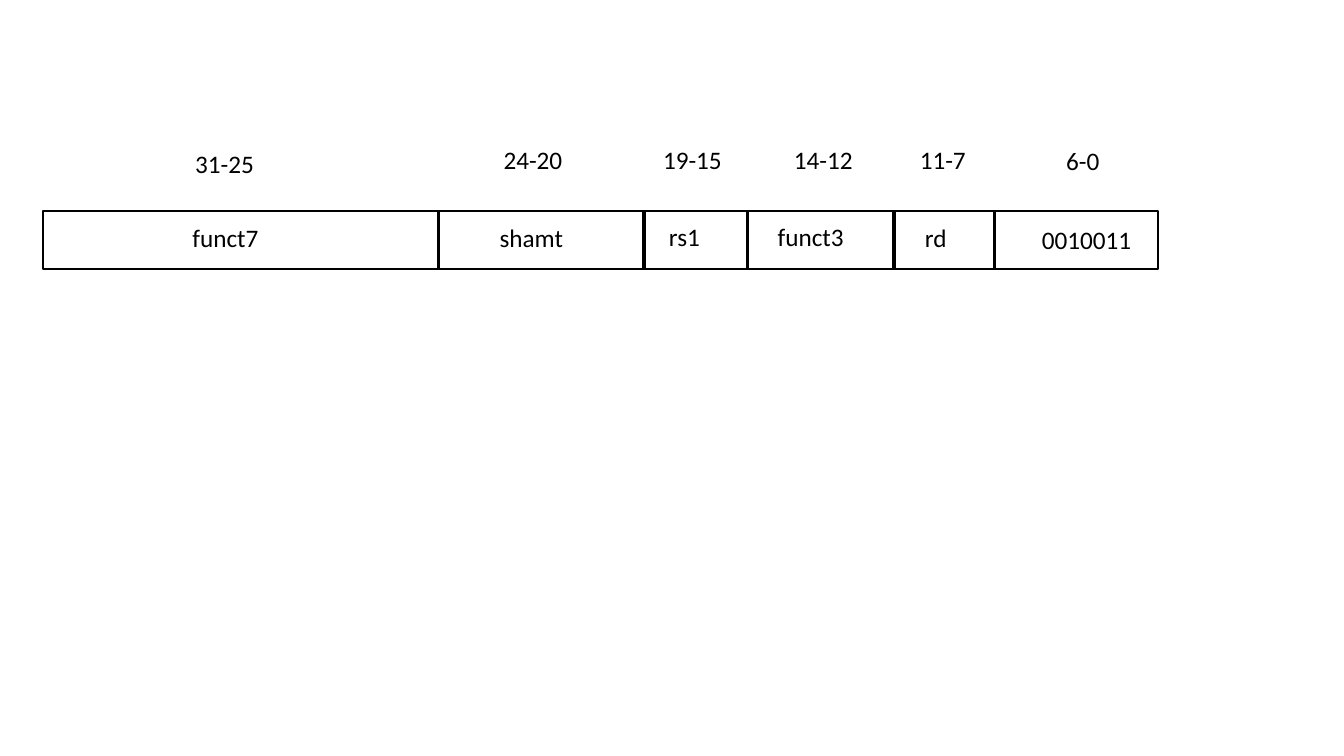
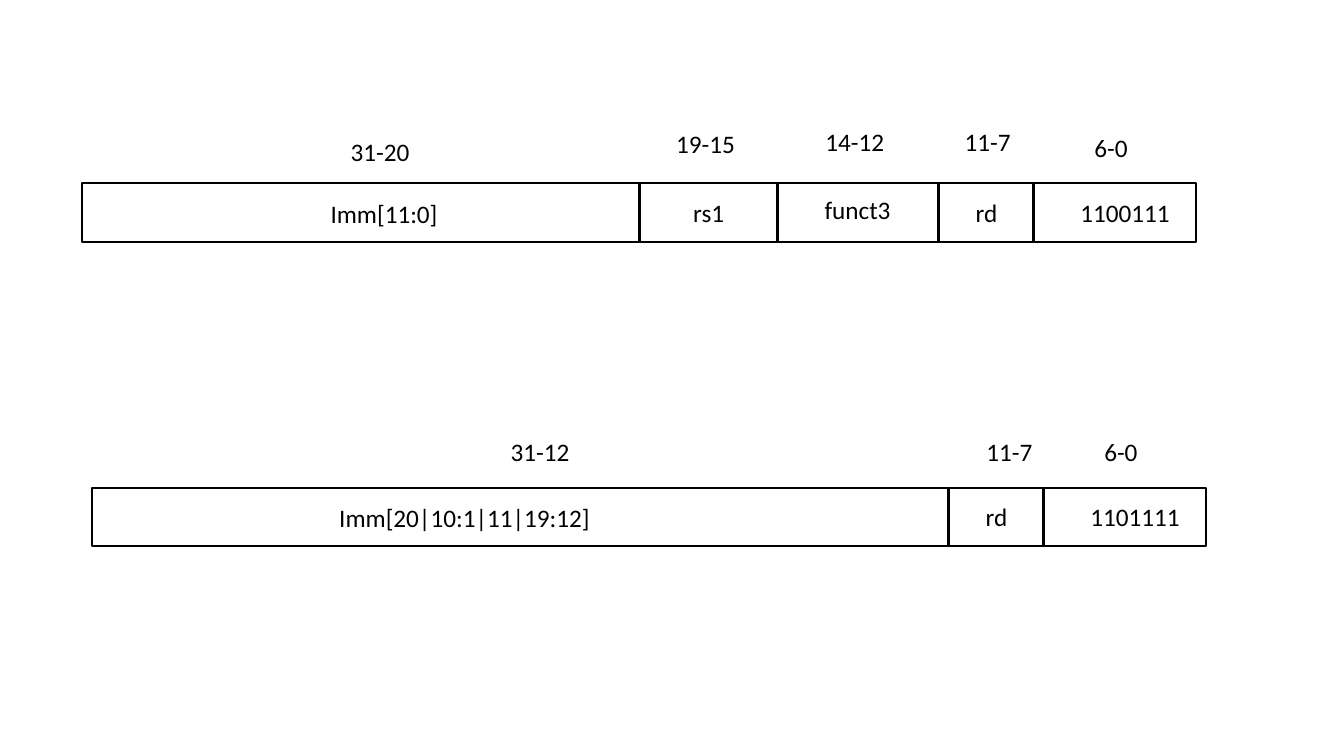
from dataclasses import dataclass

from lxml.etree import SubElement
from pptx import Presentation
from pptx.dml.color import RGBColor
from pptx.enum.shapes import MSO_CONNECTOR as Connector, MSO_SHAPE as Shape
from pptx.oxml.ns import qn
from pptx.util import Cm, Pt

# Shared style
COLORS = {"ink": "000000", "paper": "FFFFFF"}
FONT, TEXT_SIZE = "Calibri", Pt(18)
BAR_WIDTH, BAR_HEIGHT = 28.09, 1.47
TEXT_HEIGHT, BITS_WIDTH = 1.02, 2.8


@dataclass
class Field:
    """One instruction field; lengths in cm from the bar's top left corner."""
    edge: float
    name: str
    name_x: float
    name_y: float
    name_width: float
    bits: str
    bits_x: float
    bits_y: float


@dataclass
class Instruction:
    left: float
    top: float
    fields: list


# Content
SHIFT = Instruction(1.09, 5.31, [
    Field(0, "funct7", 3.51, 0.18, 4.57, "31-25", 3.58, -1.7),
    Field(9.96, "shamt", 11.25, 0.18, 2.39, "24-20", 11.35, -1.8),
    Field(15.14, "rs1", 15.52, 0.13, 1.37, "19-15", 15.37, -1.8),
    Field(17.75, "funct3", 18.26, 0.13, 2.84, "14-12", 18.67, -1.8),
    Field(21.44, "rd", 21.97, 0.18, 1.4, "11-7", 21.84, -1.8),
    Field(23.98, "0010011", 24.92, 0.23, 2.97, "6-0", 25.53, -1.78),
])
JUMP_REGISTER = Instruction(2.06, 4.62, [
    Field(0, "Imm[11:0]", 6.02, 0.25, 4.57, "31-20", 6.53, -1.3),
    Field(14.05, "rs1", 15.16, 0.23, 2.08, "19-15", 14.73, -1.52),
    Field(17.53, "funct3", 18.47, 0.15, 2.84, "14-12", 18.49, -1.55),
    Field(21.59, "rd", 22.28, 0.23, 1.42, "11-7", 22, -1.57),
    Field(23.98, "1100111", 24.92, 0.23, 2.97, "6-0", 25.27, -1.42),
])
JUMP = Instruction(2.31, 12.29, [
    Field(0, "Imm[20|10:1|11|19:12]", 5.99, 0.25, 9.07, "31-12", 10.31, -1.42),
    Field(21.59, "rd", 22.28, 0.23, 1.42, "11-7", 22.3, -1.42),
    Field(23.98, "1101111", 24.92, 0.23, 2.97, "6-0", 25.27, -1.42),
])
SLIDES = [[SHIFT], [JUMP_REGISTER, JUMP]]


def color(key):
    return RGBColor.from_string(COLORS[key])


def add_bar(shapes, left, top):
    bar = shapes.add_shape(Shape.RECTANGLE, Cm(left), Cm(top),
                           Cm(BAR_WIDTH), Cm(BAR_HEIGHT))
    bar.shadow.inherit = False
    bar.fill.solid()
    bar.fill.fore_color.rgb = color("paper")
    bar.line.color.rgb = color("ink")
    bar.line.width = Pt(1.5)


def add_divider(shapes, x, top):
    divider = shapes.add_connector(Connector.STRAIGHT, Cm(x), Cm(top),
                                   Cm(x), Cm(top + BAR_HEIGHT))
    divider.line.color.rgb = color("ink")
    divider.line.width = Pt(2.25)
    SubElement(divider._element.spPr, qn("a:effectLst"))


def add_label(shapes, text, left, top, width):
    label = shapes.add_textbox(Cm(left), Cm(top), Cm(width), Cm(TEXT_HEIGHT))
    label.text_frame.word_wrap = True
    paragraph = label.text_frame.paragraphs[0]
    paragraph.text = text
    paragraph.font.name = FONT
    paragraph.font.size = TEXT_SIZE
    paragraph.font.color.rgb = color("ink")


def add_instruction(slide, instruction):
    left, top = instruction.left, instruction.top
    shapes = slide.shapes.add_group_shape().shapes
    add_bar(shapes, left, top)
    for field in instruction.fields:
        if field.edge:
            add_divider(shapes, left + field.edge, top)
        add_label(shapes, field.name, left + field.name_x,
                  top + field.name_y, field.name_width)
        add_label(shapes, field.bits, left + field.bits_x,
                  top + field.bits_y, BITS_WIDTH)


def main():
    deck = Presentation()
    deck.slide_width, deck.slide_height = Cm(33.87), Cm(19.05)
    for instructions in SLIDES:
        slide = deck.slides.add_slide(deck.slide_layouts[6])
        for instruction in instructions:
            add_instruction(slide, instruction)
    deck.save("out.pptx")


if __name__ == "__main__":
    main()
